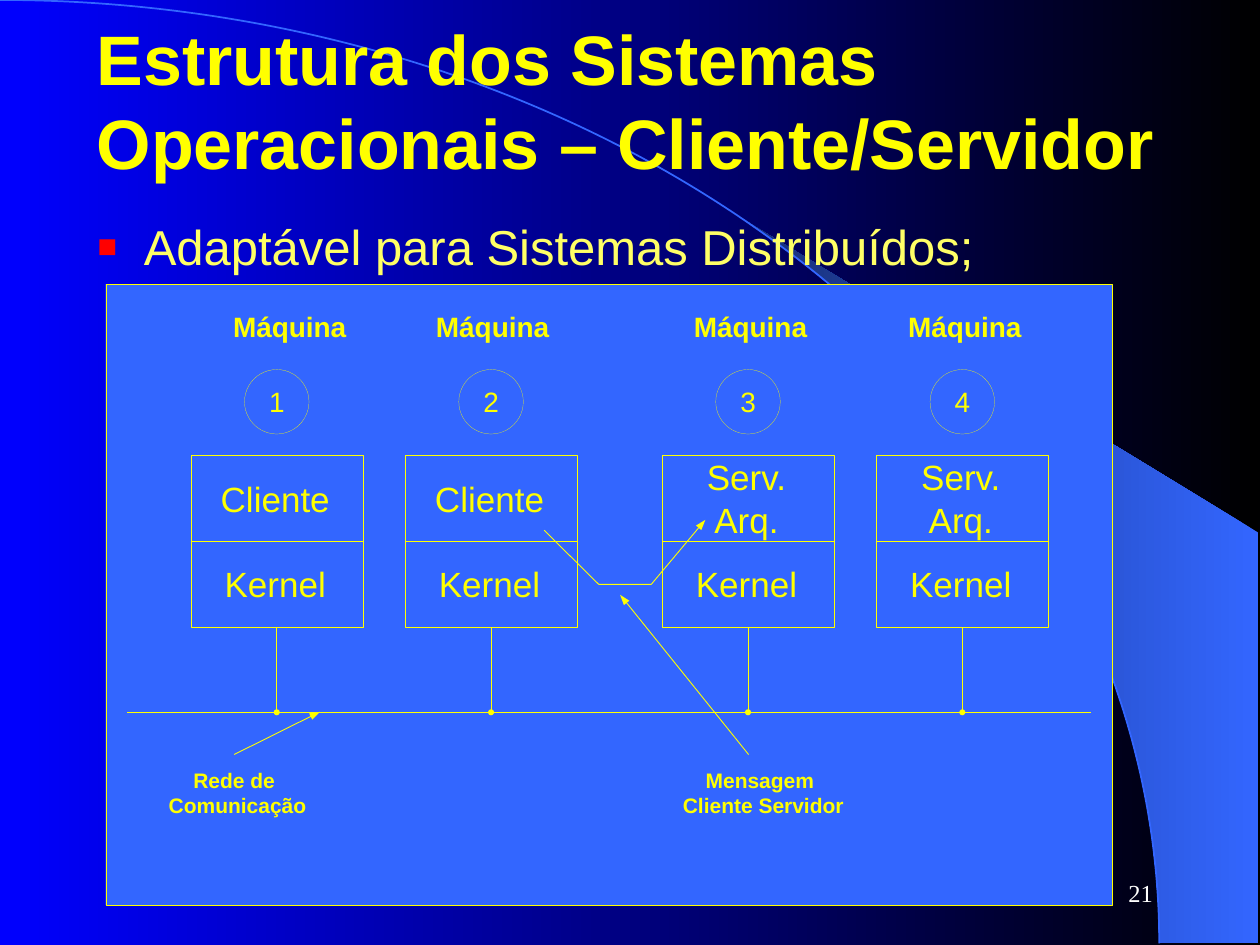
"""Build the slide on the client/server structure of operating systems."""
from math import acos, cos, sin

from lxml.etree import SubElement
from pptx import Presentation
from pptx.dml.color import RGBColor as RGB
from pptx.enum.shapes import MSO_CONNECTOR as CONN, MSO_SHAPE as SHAPE
from pptx.enum.text import MSO_ANCHOR as ANCHOR, MSO_AUTO_SIZE as FIT, PP_ALIGN as ALIGN
from pptx.oxml.ns import qn
from pptx.util import Cm, Pt

COLORS = {"black": "000000", "blue": "0000FF", "panel": "3366FF", "navy": "172F75",
          "yellow": "FFFF00", "pale": "FFFF66", "red": "FF0000", "white": "FFFFFF"}

TITLE = "Estrutura dos Sistemas Operacionais – Cliente/Servidor"
TOPIC = "Adaptável para Sistemas Distribuídos;"
PAGE = "21"

SERVER = [("Serv.", 9.19), ("Arq.", 10.05)]
CLIENT = [("Cliente", 9.63)]
MACHINES = [
    {"x": 5.58, "head_x": 5.84, "number": "1", "role": CLIENT},
    {"x": 9.9, "head_x": 9.93, "number": "2", "role": CLIENT},
    {"x": 15.08, "head_x": 15.13, "number": "3", "role": SERVER},
    {"x": 19.4, "head_x": 19.45, "number": "4", "role": SERVER},
]
CAPTIONS = [("Rede de", 4.72, 15.47), ("Comunicação", 4.79, 15.98),
            ("Mensagem", 15.32, 15.47), ("Cliente Servidor", 15.39, 15.98)]
WIDTHS = {"Máquina": 2.32, "Cliente": 2.24, "Kernel": 2.09, "Serv.": 1.69, "Arq.": 1.34,
          "Rede de": 1.69, "Comunicação": 2.82, "Mensagem": 2.24, "Cliente Servidor": 3.3}
DIGIT_WIDTH = 0.34
ARROWS = [((4.72, 15.21), (6.45, 14.35)), ((15.09, 15.21), (12.5, 11.99))]
MESSAGE = [(10.97, 10.69), (12.07, 11.78), (13.13, 11.78), (14.22, 10.48)]

BOX_TOP, BOX_SIDE, SPLIT_Y = 9.17, 3.47, 10.91
BUS_Y, BUS_LEFT, BUS_RIGHT = 14.36, 2.57, 22
RING_TOP, RING, DOT = 7.45, 1.3, 0.12
ARC_RX, ARC_RY, FAN_X, EDGE_X, EDGE_Y = 23.37, 19.02, 14.96, 25.37, 10.74
STEPS = 24
HAIR, THIN = 0.11, 0.5

BIG = {"name": "Arial", "size": Pt(40), "bold": True}
BODY = {"name": "Arial", "size": Pt(28)}
PART = {"name": "Arial", "size": Pt(20)}
HEAD = {"name": "Arial", "size": Pt(16), "bold": True}
DIGIT = {"name": "Arial", "size": Pt(16)}
CAPTION = {"name": "Arial", "size": Pt(12), "bold": True}
FOOT = {"name": "Times New Roman", "size": Pt(14)}


def rgb(name):
    return RGB.from_string(COLORS[name])


def gradient(fill, *names):
    fill.gradient()
    fill.gradient_angle = 180
    for stop, name, position in zip(fill.gradient_stops, names, (0, 1)):
        stop.color.rgb = rgb(name)
        stop.position = position


def paint(sp, fill=None, line=None, width=THIN):
    sp.shadow.inherit = False
    if fill:
        sp.fill.solid()
        sp.fill.fore_color.rgb = rgb(fill)
    else:
        sp.fill.background()
    if line:
        sp.line.color.rgb = rgb(line)
        sp.line.width = Pt(width)
    else:
        sp.line.fill.background()
    return sp


def shape(s, kind, box, **look):
    return paint(s.shapes.add_shape(kind, *map(Cm, box)), **look)


def outline(s, points, close):
    first, *rest = [(Cm(x), Cm(y)) for x, y in points]
    builder = s.shapes.build_freeform(*first)
    builder.add_line_segments(rest, close=close)
    return builder.convert_to_shape()


def arrowhead(sp):
    SubElement(sp.line._get_or_add_ln(), qn("a:tailEnd"), type="triangle", w="sm", len="med")


def connect(s, start, end):
    c = s.shapes.add_connector(CONN.STRAIGHT, *map(Cm, start + end))
    c.line.color.rgb = rgb("yellow")
    c.line.width = Pt(THIN)
    SubElement(c._element.spPr, qn("a:effectLst"))
    return c


def text(s, box, words, font, color="yellow", align=ALIGN.LEFT, **frame):
    tf = s.shapes.add_textbox(*map(Cm, box)).text_frame
    for key, value in {"word_wrap": True, **frame}.items():
        setattr(tf, key, value)
    p = tf.paragraphs[0]
    p.alignment = align
    r = p.add_run()
    r.text = words
    for key, value in font.items():
        setattr(r.font, key, value)
    r.font.color.rgb = rgb(color)
    return p


def label(s, words, x, top, font):
    height = font["size"].cm * 1.18
    width = WIDTHS.get(words, DIGIT_WIDTH)
    margins = {f"margin_{side}": 0 for side in ("left", "top", "right", "bottom")}
    text(s, (x - width / 2, top, width, height), words, font, align=ALIGN.CENTER,
         word_wrap=False, auto_size=FIT.SHAPE_TO_FIT_TEXT, **margins)


def bullet(p):
    pPr = p._p.get_or_add_pPr()
    pPr.set("marL", str(Cm(0.95)))
    pPr.set("indent", str(Cm(-0.95)))
    SubElement(SubElement(pPr, qn("a:buClr")), qn("a:srgbClr"), val=COLORS["red"])
    SubElement(pPr, qn("a:buSzPct"), val="130000")
    SubElement(pPr, qn("a:buFont"), typeface="Arial")
    SubElement(pPr, qn("a:buChar"), char="▪")


def backdrop(s):
    gradient(s.background.fill, "black", "blue")
    start = acos(FAN_X / ARC_RX)
    angles = [start * (1 - i / STEPS) for i in range(STEPS + 1)]
    curve = [(ARC_RX * cos(a), ARC_RY * (1 - sin(a))) for a in angles]
    fan = paint(outline(s, curve + [(EDGE_X, ARC_RY), (EDGE_X, EDGE_Y)], True))
    gradient(fan.fill, "panel", "navy")
    shape(s, SHAPE.ARC, (-ARC_RX, 0, 2 * ARC_RX, 2 * ARC_RY), line="panel", width=1)


def machine(s, x, head_x, number, role):
    left, bottom = x - BOX_SIDE / 2, BOX_TOP + BOX_SIDE
    look = {"fill": "panel", "line": "yellow", "width": HAIR}
    shape(s, SHAPE.RECTANGLE, (left, BOX_TOP, BOX_SIDE, BOX_SIDE), **look)
    connect(s, (left, SPLIT_Y), (left + BOX_SIDE, SPLIT_Y))
    connect(s, (x, bottom), (x, BUS_Y))
    shape(s, SHAPE.OVAL, (x - DOT / 2, BUS_Y - DOT / 2, DOT, DOT), fill="yellow")
    shape(s, SHAPE.OVAL, (x - RING / 2, RING_TOP, RING, RING), **look)
    label(s, "Máquina", head_x, 6.25, HEAD)
    label(s, number, x, 7.75, DIGIT)
    for words, top in role + [("Kernel", 11.34)]:
        label(s, words, x - 0.03, top, PART)


def main():
    prs = Presentation()
    prs.slide_width, prs.slide_height = Cm(25.4), Cm(19.05)
    s = prs.slides.add_slide(prs.slide_layouts[6])
    backdrop(s)
    text(s, (1.7, 0.41, 22.86, 3.18), TITLE, BIG, vertical_anchor=ANCHOR.MIDDLE)
    bullet(text(s, (1.7, 4.24, 22.86, 1.9), TOPIC, BODY, "pale", ALIGN.JUSTIFY))
    shape(s, SHAPE.RECTANGLE, (2.13, 5.73, 20.29, 12.52),
          fill="panel", line="yellow", width=HAIR)
    connect(s, (BUS_LEFT, BUS_Y), (BUS_RIGHT, BUS_Y))
    for m in MACHINES:
        machine(s, **m)
    arrowhead(paint(outline(s, MESSAGE, False), line="yellow"))
    for start, end in ARROWS:
        arrowhead(connect(s, start, end))
    for words, x, top in CAPTIONS:
        label(s, words, x, top, CAPTION)
    text(s, (18.21, 17.37, 5.28, 1.27), PAGE, FOOT, "white", ALIGN.RIGHT,
         vertical_anchor=ANCHOR.MIDDLE)
    prs.save("out.pptx")


if __name__ == "__main__":
    main()
